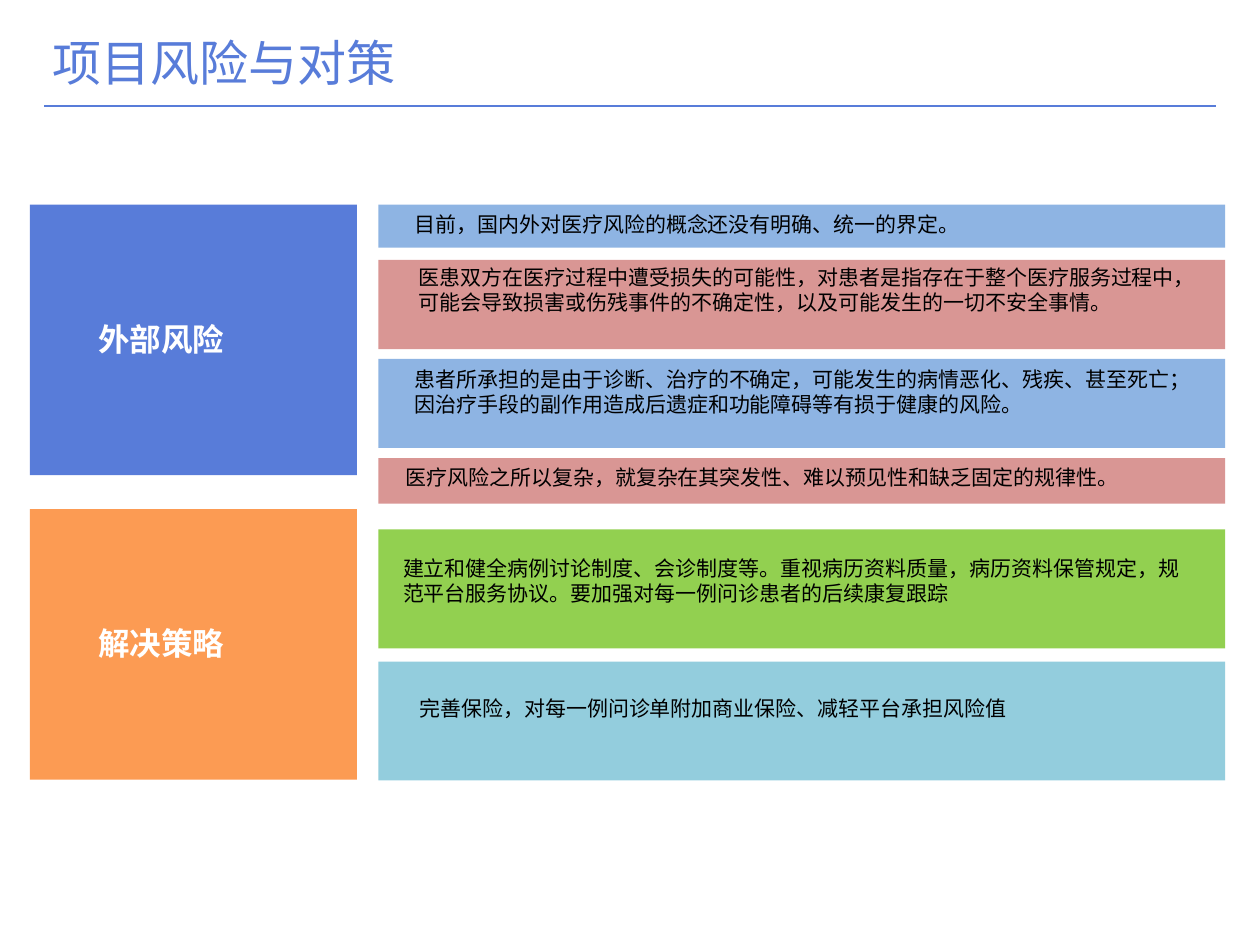
from lxml import etree
from pptx import Presentation
from pptx import util as u
from pptx.dml import color
from pptx.enum import shapes, text
from pptx.oxml import ns

BLUE, ORANGE, WHITE, BLACK = "587CD9", "FC9B53", "FFFFFF", "000000"
SKY, ROSE, GREEN, AQUA = "8EB4E3", "D99694", "92D050", "93CDDD"
CJK = "Noto Sans CJK SC"


def rgb(value):
    return color.RGBColor.from_string(value)


class RiskSlide:
    """Holds the style and the current slide; lengths are in points."""

    def __init__(self, deck):
        self.slide = deck.slides.add_slide(deck.slide_layouts[5])

    def set_text(self, frame, words, size, tint, font="Arial", bold=False, spacing=None, wrap=True):
        frame.word_wrap = wrap
        frame.vertical_anchor = text.MSO_ANCHOR.TOP
        frame.text = words
        line = frame.paragraphs[0]
        line.alignment = text.PP_ALIGN.LEFT
        line.line_spacing = spacing
        line.font.name, line.font.size, line.font.bold = font, u.Pt(size), bold
        line.font.color.rgb = rgb(tint)

    def title(self, words, left, top, width, height):
        heading = self.slide.shapes.title
        heading.left, heading.top = u.Pt(left), u.Pt(top)
        heading.width, heading.height = u.Pt(width), u.Pt(height)
        self.set_text(heading.text_frame, words, 28, BLUE, CJK, wrap=False)

    def rule(self, left, right, y):
        rule = self.slide.shapes.add_connector(
            shapes.MSO_CONNECTOR.STRAIGHT, u.Pt(left), u.Pt(y), u.Pt(right), u.Pt(y))
        rule.line.color.rgb = rgb(BLUE)
        rule.line.width = u.Pt(0.75)
        etree.SubElement(rule._element.spPr, ns.qn("a:effectLst"))

    def panel(self, left, top, width, height, fill):
        panel = self.slide.shapes.add_shape(
            shapes.MSO_SHAPE.RECTANGLE, u.Pt(left), u.Pt(top), u.Pt(width), u.Pt(height))
        panel.shadow.inherit = False
        panel.fill.solid()
        panel.fill.fore_color.rgb = rgb(fill)
        panel.line.fill.background()

    def label(self, words, left, top, width, height, size, tint, **style):
        box = self.slide.shapes.add_textbox(u.Pt(left), u.Pt(top), u.Pt(width), u.Pt(height))
        self.set_text(box.text_frame, words, size, tint, **style)


def main():
    deck = Presentation()
    deck.slide_width, deck.slide_height = u.Pt(720), u.Pt(540)
    page = RiskSlide(deck)

    # Heading
    page.title("项目风险与对策", 23, 15, 212, 41)
    page.rule(25.2, 694.8, 60.5)

    # Category blocks on the left
    for category, top, fill in (("外部风险", 117, BLUE), ("解决策略", 291, ORANGE)):
        page.panel(17, top, 187, 154.5, fill)
        page.label(category, 49, top + 51.5, 116, 45, 18, WHITE,
                   font=CJK, bold=True, spacing=1.5)

    # Detail bars on the right: top, height, fill, text left, text top, text width, words
    details = (
        (117, 24.5, SKY, 229.7, 117.4, 482,
         "目前，国内外对医疗风险的概念还没有明确、统一的界定。"),
        (148.5, 51, ROSE, 232.2, 147.6, 453,
         "医患双方在医疗过程中遭受损失的可能性，对患者是指存在于整个医疗服务过程中，"
         "可能会导致损害或伤残事件的不确定性，以及可能发生的一切不安全事情。"),
        (205, 51, SKY, 229.7, 206, 469.5,
         "患者所承担的是由于诊断、治疗的不确定，可能发生的病情恶化、残疾、甚至死亡；"
         "因治疗手段的副作用造成后遗症和功能障碍等有损于健康的风险。"),
        (261.8, 26, ROSE, 224.5, 262, 469.5,
         "医疗风险之所以复杂，就复杂在其突发性、难以预见性和缺乏固定的规律性。"),
        (302.5, 68, GREEN, 223.2, 314, 469.5,
         "建立和健全病例讨论制度、会诊制度等。重视病历资料质量，病历资料保管规定，"
         "规范平台服务协议。要加强对每一例问诊患者的后续康复跟踪"),
        (378, 68, AQUA, 232.5, 394, 469.5,
         "完善保险，对每一例问诊单附加商业保险、减轻平台承担风险值"),
    )
    for top, height, fill, text_left, text_top, text_width, words in details:
        page.panel(216.2, top, 484, height, fill)
        page.label(words, text_left, text_top, text_width, 24.5, 12, BLACK)

    deck.save("out.pptx")


if __name__ == "__main__":
    main()
